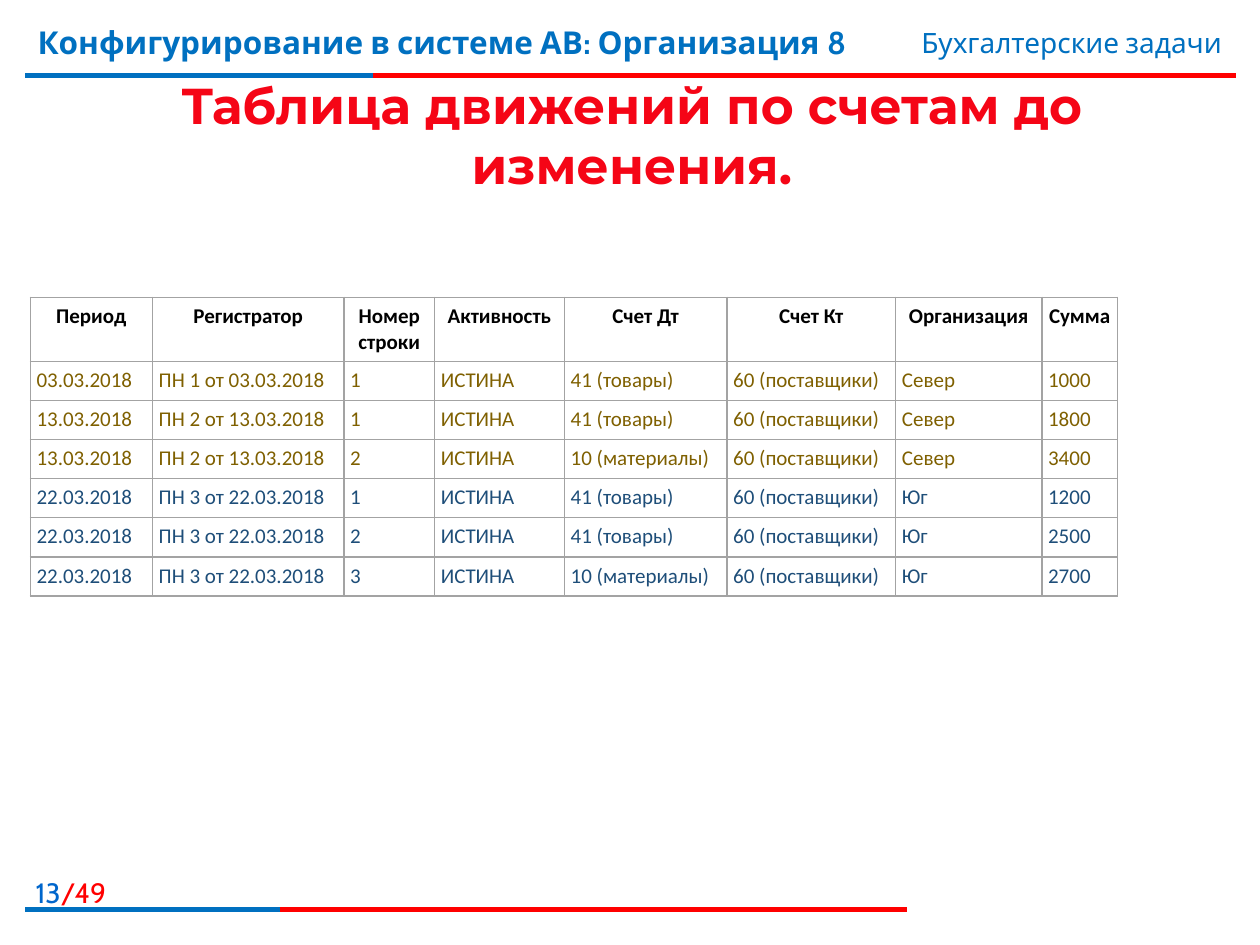
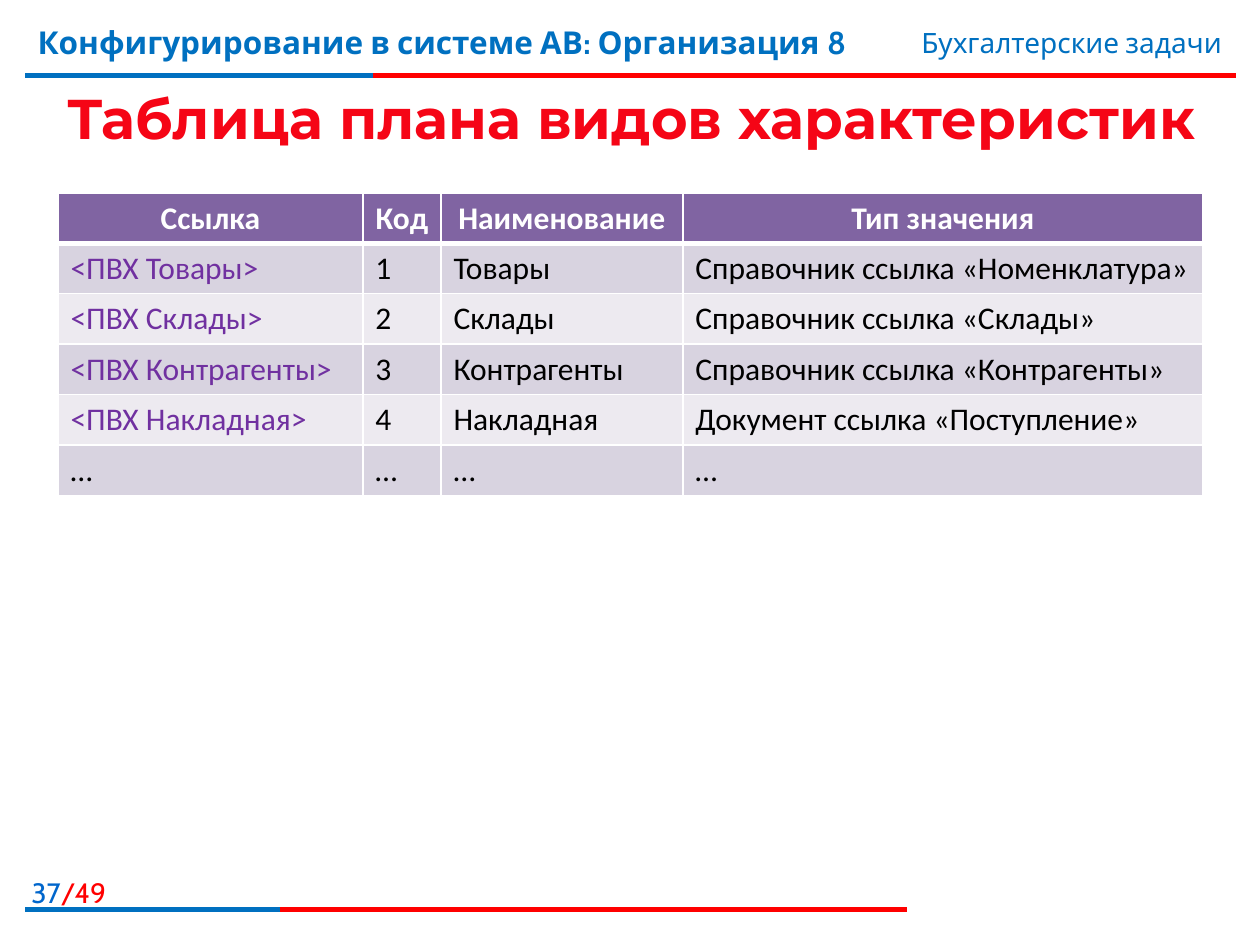
from lxml import etree
from pptx import Presentation
from pptx.dml.color import RGBColor
from pptx.enum.shapes import MSO_CONNECTOR as CONNECTOR
from pptx.enum.text import MSO_ANCHOR as ANCHOR, PP_ALIGN as ALIGN
from pptx.oxml import parse_xml
from pptx.oxml.ns import nsdecls, qn
from pptx.util import Inches, Pt

BLUE, RED, PAGE_BLUE, TITLE_RED = "0070C0", "FF0000", "0066CC", "F50516"
BLACK, WHITE, GRID_GRAY = "000000", "FFFFFF", "A3A3A3"
NORTH_BROWN, SOUTH_BLUE = "7F6000", "1E4E79"
HEAD_PURPLE, LINK_PURPLE = "8064A2", "7030A0"
BANDS = ("D8D3E0", "EDEAF0")
HEADER_FONT, TITLE_FONT, TABLE_FONT = "Cabin", "Montserrat", "Calibri"

COURSE = "Конфигурирование в системе АВ: Организация 8"
TOPIC = "Бухгалтерские задачи"
PAGE_COUNT = 49

MOVEMENT_HEAD = ["Период", "Регистратор", "Номер\nстроки", "Активность",
                 "Счет Дт", "Счет Кт", "Организация", "Сумма"]
MOVEMENT_WIDTHS = [0.97, 1.52, 0.72, 1.03, 1.29, 1.34, 1.16, 0.6]
GOODS, MATERIALS = "41 (товары)", "10 (материалы)"
MOVEMENTS = [
    (1, "03.03.2018", 1, GOODS, "Север", 1000),
    (2, "13.03.2018", 1, GOODS, "Север", 1800),
    (2, "13.03.2018", 2, MATERIALS, "Север", 3400),
    (3, "22.03.2018", 1, GOODS, "Юг", 1200),
    (3, "22.03.2018", 2, GOODS, "Юг", 2500),
    (3, "22.03.2018", 3, MATERIALS, "Юг", 2700),
]

KIND_HEAD = ["Ссылка", "Код", "Наименование", "Тип значения"]
KIND_WIDTHS = [2.42, 0.62, 1.92, 4.13]
KINDS = [
    ("Товары", "Справочник ссылка «Номенклатура»"),
    ("Склады", "Справочник ссылка «Склады»"),
    ("Контрагенты", "Справочник ссылка «Контрагенты»"),
    ("Накладная", "Документ ссылка «Поступление»"),
]


def rgb(code):
    """Turn a hex string into a colour."""
    return RGBColor.from_string(code)


def write(paragraph, text, size=12, font=TABLE_FONT, color=BLACK, bold=False,
          align=ALIGN.LEFT):
    """Append formatted text to a paragraph."""
    paragraph.alignment = align
    run = paragraph.add_run()
    run.text = text
    run.font.size = Pt(size)
    run.font.name = font
    run.font.bold = bold
    run.font.color.rgb = rgb(color)


def add_text_area(slide, box, anchor=ANCHOR.TOP):
    """Add a wrapping text box and return its first paragraph."""
    frame = slide.shapes.add_textbox(*map(Inches, box)).text_frame
    frame.word_wrap = True
    frame.vertical_anchor = anchor
    return frame.paragraphs[0]


def add_rule(slide, left, top, blue_width, full_width):
    """Draw a red rule whose left part is blue."""
    for width, color in ((full_width, RED), (blue_width, BLUE)):
        rule = slide.shapes.add_connector(
            CONNECTOR.STRAIGHT, Inches(left), Inches(top),
            Inches(left + width), Inches(top))
        rule.line.color.rgb = rgb(color)
        rule.line.width = Pt(3)
        etree.SubElement(rule._element.spPr, qn("a:effectLst"))


def add_header(slide):
    """Place the course name, the topic and the rule under them."""
    add_rule(slide, 0.2, 0.6, 2.76, 9.61)
    write(add_text_area(slide, (0.2, 0.13, 7.4, 0.62)), COURSE,
          size=18, font=HEADER_FONT, color=BLUE, bold=True)
    write(add_text_area(slide, (5.94, 0.15, 3.86, 0.37)), TOPIC,
          size=16, font=HEADER_FONT, color=BLUE, align=ALIGN.RIGHT)


def add_footer(slide, page):
    """Place the page number above the bottom rule."""
    counter = add_text_area(slide, (-0.1, 6.9, 1.04, 0.32))
    for text, color in ((str(page), PAGE_BLUE), (f"/{PAGE_COUNT}", RED)):
        write(counter, text, size=16, font=HEADER_FONT, color=color,
              align=ALIGN.RIGHT)
    add_rule(slide, 0.2, 7.22, 2.02, 7)


def add_slide(deck, page, title, title_size, title_height):
    """Add a slide with header, footer and title."""
    slide = deck.slides.add_slide(deck.slide_layouts[6])
    add_header(slide)
    add_footer(slide, page)
    write(add_text_area(slide, (0.21, 0.63, 9.61, title_height), ANCHOR.MIDDLE),
          title, size=title_size, font=TITLE_FONT, color=TITLE_RED, bold=True,
          align=ALIGN.CENTER)
    return slide


def set_borders(cell, color, bottom=1):
    """Outline a cell, with its own width for the bottom edge."""
    properties = cell._tc.get_or_add_tcPr()
    for side, width in zip("LRTB", (1, 1, 1, bottom)):
        properties.append(parse_xml(
            f'<a:ln{side} {nsdecls("a")} w="{Pt(width)}"><a:solidFill>'
            f'<a:srgbClr val="{color}"/></a:solidFill></a:ln{side}>'))


def add_grid(slide, left, top, widths, heights):
    """Add an empty table with the given columns and rows."""
    table = slide.shapes.add_table(
        len(heights), len(widths), Inches(left), Inches(top),
        Inches(sum(widths)), Inches(sum(heights))).table
    for column, width in zip(table.columns, widths):
        column.width = Inches(width)
    for row, height in zip(table.rows, heights):
        row.height = Inches(height)
    return table


def fill_cell(cell, text, border, bottom=1, fill=None, inset=None, **style):
    """Give a cell its borders, fill, insets and text."""
    set_borders(cell, border, bottom)
    if fill:
        cell.fill.solid()
        cell.fill.fore_color.rgb = rgb(fill)
    else:
        cell.fill.background()
    if inset:
        cell.margin_left = cell.margin_right = Inches(inset)
        cell.margin_top = cell.margin_bottom = Inches(inset)
    frame = cell.text_frame
    for number, line in enumerate(text.split("\n")):
        write(frame.add_paragraph() if number else frame.paragraphs[0],
              line, **style)


def add_movement_table(slide, left, top):
    """Fill the table of account movements, coloured by organisation."""
    rows = [MOVEMENT_HEAD] + [
        [date, f"ПН {receipt} от {date}", str(line), "ИСТИНА", debit,
         "60 (поставщики)", branch, str(amount)]
        for receipt, date, line, debit, branch, amount in MOVEMENTS]
    table = add_grid(slide, left, top, MOVEMENT_WIDTHS,
                     [0.51] + [0.31] * len(MOVEMENTS))
    for r, row in enumerate(rows):
        if r == 0:
            style = dict(bold=True, align=ALIGN.CENTER)
        else:
            style = dict(color=NORTH_BROWN if "Север" in row else SOUTH_BLUE)
        for c, text in enumerate(row):
            fill_cell(table.cell(r, c), text, GRID_GRAY, inset=0.05, **style)


def add_kind_table(slide, left, top):
    """Fill the banded table of characteristic kinds."""
    rows = [KIND_HEAD] + [
        [f"<ПВХ {name}>", str(code), name, value_type]
        for code, (name, value_type) in enumerate(KINDS, 1)]
    rows.append(["…"] * len(KIND_HEAD))
    table = add_grid(slide, left, top, KIND_WIDTHS, [0.4] * len(rows))
    for r, row in enumerate(rows):
        for c, text in enumerate(row):
            if r == 0:
                style = dict(fill=HEAD_PURPLE, bottom=3, color=WHITE,
                             bold=True, align=ALIGN.CENTER)
            else:
                style = dict(fill=BANDS[(r - 1) % 2],
                             color=LINK_PURPLE if text.startswith("<") else BLACK)
            fill_cell(table.cell(r, c), text, WHITE, size=18, **style)


def main():
    """Build the two slides and save them."""
    deck = Presentation()
    deck.slide_width, deck.slide_height = Inches(10), Inches(7.5)
    movements = add_slide(deck, 13, "Таблица движений по счетам до изменения.",
                          28.8, 0.87)
    add_movement_table(movements, 0.24, 2.36)
    kinds = add_slide(deck, 37, "Таблица плана видов характеристик", 32, 0.6)
    add_kind_table(kinds, 0.46, 1.53)
    deck.save("out.pptx")


if __name__ == "__main__":
    main()
